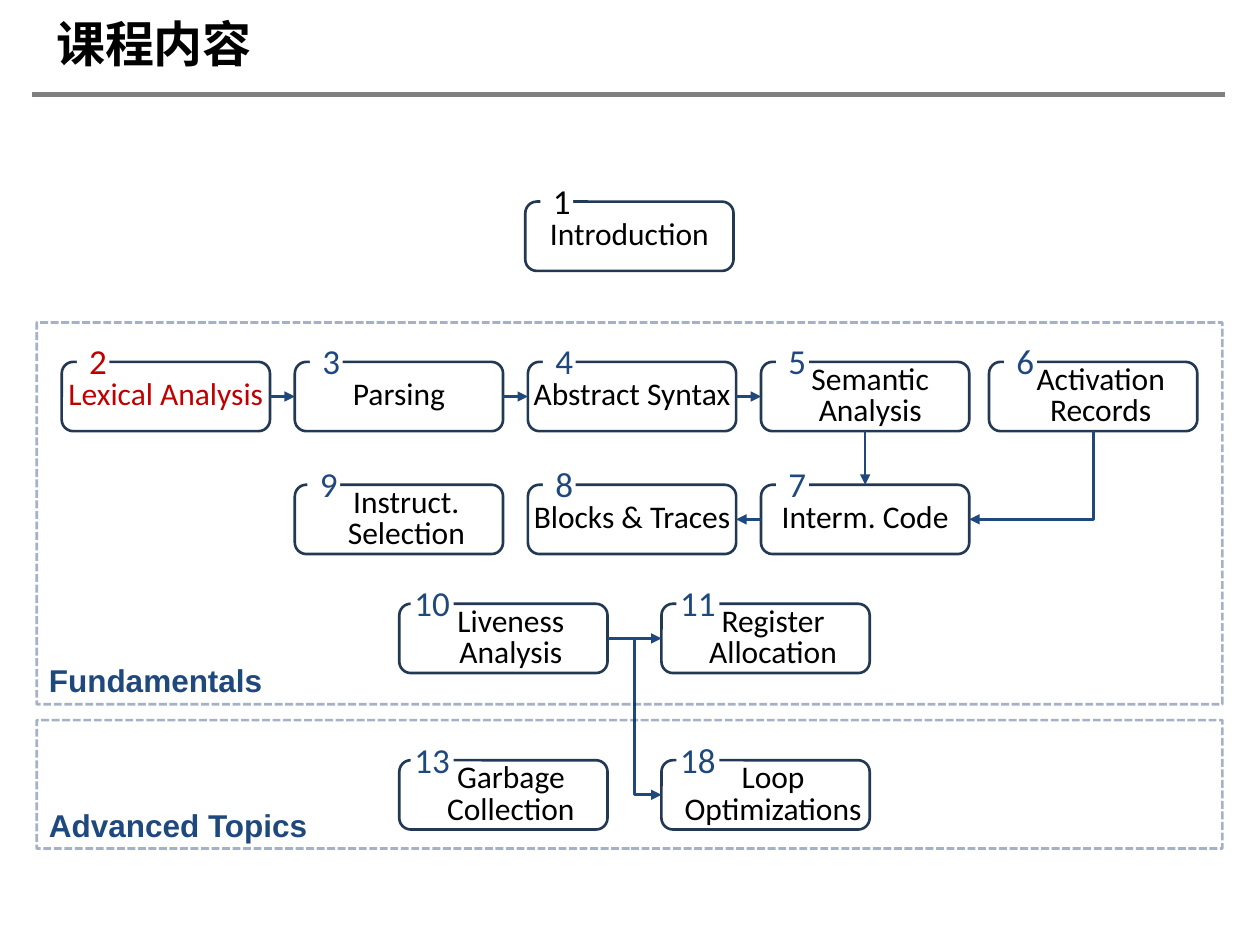
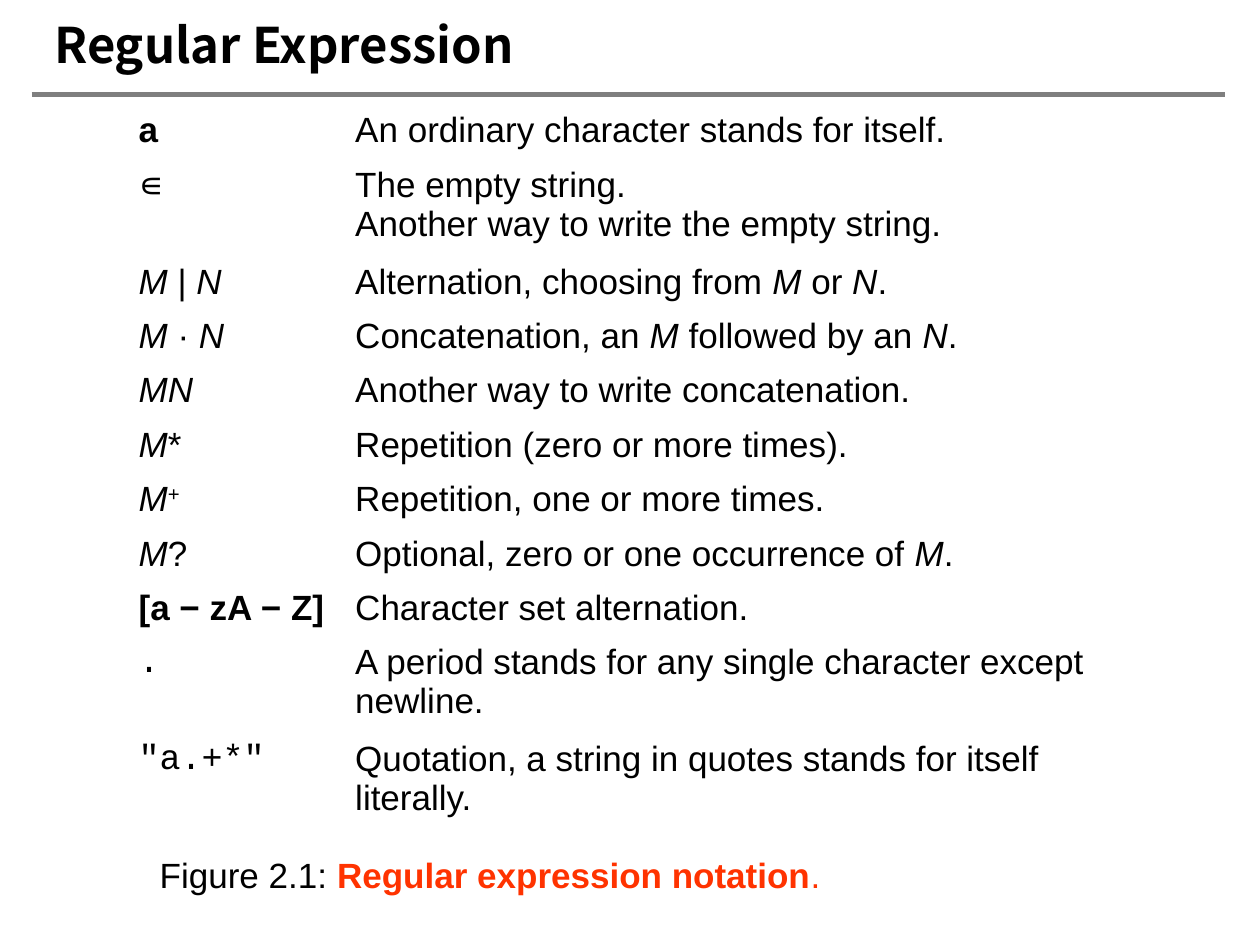
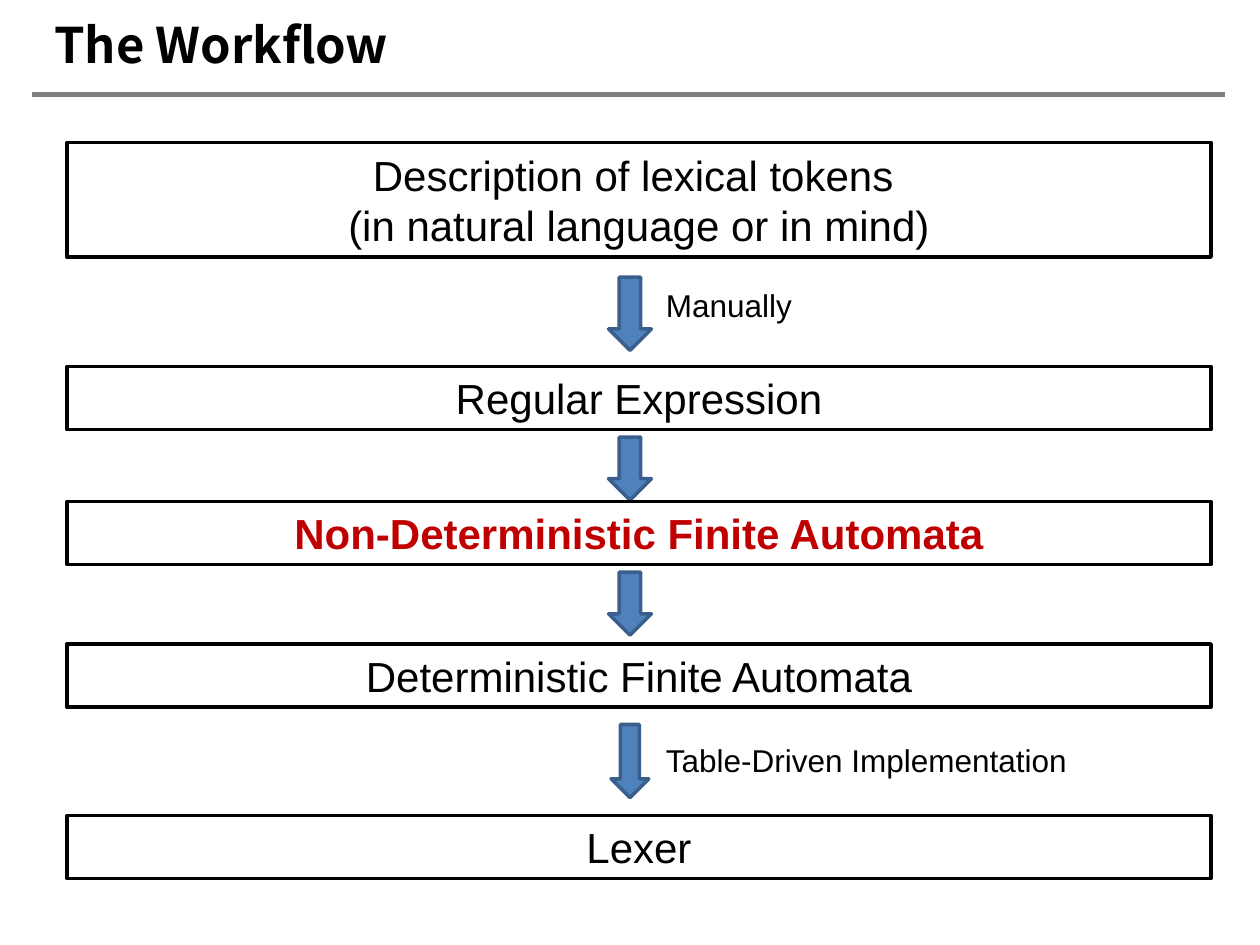
import functools
from typing import NamedTuple

import pptx
import pptx.dml.color
import pptx.enum.dml
import pptx.enum.shapes
import pptx.enum.text
import pptx.oxml
import pptx.oxml.ns
import pptx.util
from lxml import etree

Pt = pptx.util.Pt
qn = pptx.oxml.ns.qn
SHAPE = pptx.enum.shapes.MSO_SHAPE
CONNECTOR = pptx.enum.shapes.MSO_CONNECTOR
ANCHOR = pptx.enum.text.MSO_ANCHOR
ALIGN = pptx.enum.text.PP_ALIGN

BLACK, WHITE, GREY = "000000", "FFFFFF", "7F7F7F"
NAVY, BLUE, RED, ORANGE = "233953", "1F497D", "C00000", "FF3300"
FRAME, ARROW_FILL, ARROW_LINE = "002060", "4F81BD", "3A5F8C"
ARIAL, CALIBRI, COURIER = "Arial", "Calibri", "Courier New"
TITLE_FONT = "Noto Sans CJK SC"

BOX_W, BOX_H = 119, 39.6
COLUMNS = [35.3 + 133.2 * i for i in range(4)]
RECORDS_X, INTRO_X, LEFT_X, RIGHT_X = 565.2, 300.2, 228.2, 378
ROWS = [115.2, 206.8, 277, 345, 434.4]
MIDS = [y + BOX_H / 2 for y in ROWS]


class Chapter(NamedTuple):
    number: int
    name: str
    x: float
    row: int
    indent: float = 0
    tag_dx: float = 8.6
    color: str = BLACK
    tag_color: str = BLUE


class Frame(NamedTuple):
    label: str
    y: float
    h: float
    label_y: float


class Notation(NamedTuple):
    form: str
    meaning: str
    bold: bool = False
    font: str = ARIAL
    raised: str = ""
    height: float = 31.1


class Stage(NamedTuple):
    text: str
    y: float
    h: float = 36
    color: str = BLACK
    bold: bool = False


class Step(NamedTuple):
    y: float
    w: float
    h: float
    label: str = ""
    label_y: float = 0
    label_w: float = 0


CHAPTERS = [
    Chapter(1, "Introduction", INTRO_X, 0, tag_color=BLACK),
    Chapter(2, "Lexical Analysis", COLUMNS[0], 1, color=RED, tag_color=RED),
    Chapter(3, "Parsing", COLUMNS[1], 1),
    Chapter(4, "Abstract Syntax", COLUMNS[2], 1),
    Chapter(5, "Semantic Analysis", COLUMNS[3], 1, indent=5.8),
    Chapter(6, "Activation Records", RECORDS_X, 1, indent=8.6),
    Chapter(7, "Interm. Code", COLUMNS[3], 2),
    Chapter(8, "Blocks & Traces", COLUMNS[2], 2),
    Chapter(9, "Instruct. Selection", COLUMNS[1], 2, indent=8.6, tag_dx=7.2),
    Chapter(10, "Liveness Analysis", LEFT_X, 3, indent=8.6, tag_dx=6.5),
    Chapter(11, "Register Allocation", RIGHT_X, 3, indent=8.6),
    Chapter(13, "Garbage Collection", LEFT_X, 4, indent=8.6, tag_dx=6.5),
    Chapter(18, "Loop Optimizations", RIGHT_X, 4, indent=8.6),
]

FRAMES = [
    Frame("Fundamentals", 184.3, 218.2, 374.4),
    Frame("Advanced Topics", 411.5, 73.4, 457.2),
]

NOTATIONS = [
    Notation("a", "An ordinary character stands for itself.", bold=True),
    Notation("∊", "The empty string.\nAnother way to write the empty string.", height=55.4),
    Notation("_M_ | _N_", "Alternation, choosing from _M_ or _N_."),
    Notation("_M_ · _N_", "Concatenation, an _M_ followed by an _N_."),
    Notation("_MN_", "Another way to write concatenation."),
    Notation("_M_*", "Repetition (zero or more times)."),
    Notation("_M_", "Repetition, one or more times.", raised="+"),
    Notation("_M_?", "Optional, zero or one occurrence of _M_."),
    Notation("[a − zA − Z]", "Character set alternation.", bold=True),
    Notation(".", "A period stands for any single character except newline.",
             font=COURIER, height=55.4),
    Notation('"a.+*"', "Quotation, a string in quotes stands for itself literally.",
             font=COURIER, height=55.4),
]

STAGES = [
    Stage("Description of lexical tokens \n(in natural language or in mind)", 81.4, 65.5),
    Stage("Regular Expression", 209.5),
    Stage("Non-Deterministic Finite Automata", 286.6, color=RED, bold=True),
    Stage("Deterministic Finite Automata", 368),
    Stage("Lexer", 466),
]

STEPS = [
    Step(158.4, 24.5, 41.8, "Manually", 160, 100.8),
    Step(249.8, 24.5, 36),
    Step(327, 24.5, 36),
    Step(414, 21.6, 41.8, "Table-Driven Implementation", 420, 275.8),
]


@functools.lru_cache(maxsize=None)
def rgb(color: str) -> pptx.dml.color.RGBColor:
    return pptx.dml.color.RGBColor.from_string(color)


def add_text(p, text: str, *, size: float = 18, font: str = ARIAL, color: str = BLACK,
             bold: bool = False, italic: bool = False, baseline: int = 0,
             spacing: int = 0, east_asian: bool = False) -> None:
    for i, line in enumerate(text.split("\n")):
        if i:
            p.add_line_break()
        r = p.add_run()
        r.text = line
        r.font.size = Pt(size)
        r.font.name = font
        r.font.bold = bold
        r.font.italic = italic
        r.font.color.rgb = rgb(color)
        rpr = r.font._element
        if baseline:
            rpr.set("baseline", str(baseline * 1000))
        if spacing:
            rpr.set("spc", str(spacing))
        if east_asian:
            rpr.find(qn("a:latin")).addnext(etree.Element(qn("a:ea"), typeface=font))


def add_marked_text(p, text: str, **fmt) -> None:
    for i, piece in enumerate(text.split("_")):
        if piece:
            add_text(p, piece, italic=i % 2 == 1, **fmt)


def set_margins(tf, left: float, top: float, right: float, bottom: float) -> None:
    tf.margin_left, tf.margin_top = Pt(left), Pt(top)
    tf.margin_right, tf.margin_bottom = Pt(right), Pt(bottom)


def add_box(s, kind, x: float, y: float, w: float, h: float,
            fill: str = "", line: str = "", line_w: float = 1.5):
    sp = s.shapes.add_shape(kind, Pt(x), Pt(y), Pt(w), Pt(h))
    sp.shadow.inherit = False
    if fill:
        sp.fill.solid()
        sp.fill.fore_color.rgb = rgb(fill)
    else:
        sp.fill.background()
    if line:
        sp.line.color.rgb = rgb(line)
        sp.line.width = Pt(line_w)
    else:
        sp.line.fill.background()
    sp.text_frame.word_wrap = True
    return sp


def add_label(s, x: float, y: float, w: float, h: float, wrap: bool = True):
    tf = s.shapes.add_textbox(Pt(x), Pt(y), Pt(w), Pt(h)).text_frame
    tf.word_wrap = wrap
    return tf


def add_line(s, x1: float, y1: float, x2: float, y2: float, color: str = BLUE,
             width: float = 1.5, arrow: bool = True, kind=CONNECTOR.STRAIGHT):
    c = s.shapes.add_connector(kind, Pt(x1), Pt(y1), Pt(x2), Pt(y2))
    c.line.color.rgb = rgb(color)
    c.line.width = Pt(width)
    sp_pr = c._element.spPr
    if arrow:
        etree.SubElement(sp_pr.find(qn("a:ln")), qn("a:tailEnd"), type="triangle")
    etree.SubElement(sp_pr, qn("a:effectLst"))
    return c


def add_down_elbow(s, x1: float, y1: float, x2: float, y2: float) -> None:
    mid_x, mid_y = (x1 + x2) / 2, (y1 + y2) / 2
    half_w, half_h = (y2 - y1) / 2, abs(x2 - x1) / 2
    side = 1 if x2 < x1 else -1
    c = add_line(s, mid_x - side * half_w, mid_y - half_h,
                 mid_x + side * half_w, mid_y + half_h, kind=CONNECTOR.ELBOW)
    sp_pr = c._element.spPr
    sp_pr.find(qn("a:prstGeom")).set("prst", "bentConnector2")
    sp_pr.find(qn("a:xfrm")).set("rot", str(side * 90 % 360 * 60000))


def add_titled_slide(prs, title: str, x: float = 31, y: float = 12.2,
                     w: float = 286.6, h: float = 34, spacing: int = 0):
    s = prs.slides.add_slide(prs.slide_layouts[5])
    add_line(s, 18, 54, 700, 54, color=GREY, width=3, arrow=False)
    sp = s.shapes.title
    sp.left, sp.top, sp.width, sp.height = Pt(x), Pt(y), Pt(w), Pt(h)
    tf = sp.text_frame
    set_margins(tf, 0, 0, 0, 0)
    tf.vertical_anchor = ANCHOR.TOP
    p = tf.paragraphs[0]
    p.alignment = ALIGN.LEFT
    p.line_spacing = 0.9
    add_text(p, title, size=28, font=TITLE_FONT, bold=True,
             spacing=spacing, east_asian=True)
    return s


def draw_chapter(s, chapter: Chapter) -> None:
    y = ROWS[chapter.row]
    tf = add_box(s, SHAPE.ROUNDED_RECTANGLE, chapter.x, y, BOX_W, BOX_H, line=NAVY).text_frame
    set_margins(tf, chapter.indent, 0, 0, 0)
    p = tf.paragraphs[0]
    p.alignment = ALIGN.CENTER
    p.line_spacing = Pt(18)
    add_text(p, chapter.name, font=CALIBRI, color=chapter.color)

    wide = chapter.number > 9
    tf = add_box(s, SHAPE.RECTANGLE, chapter.x + chapter.tag_dx, y - 11.7,
                 24.5 if wide else 18.7, 22.3, fill=WHITE).text_frame
    side = 0 if wide else 7.2
    set_margins(tf, side, 3.6, side, 3.6)
    p = tf.paragraphs[0]
    p.alignment = ALIGN.CENTER
    add_text(p, str(chapter.number), size=20, font=CALIBRI, color=chapter.tag_color)


def draw_frame(s, frame: Frame) -> None:
    sp = add_box(s, SHAPE.RECTANGLE, 21, frame.y, 677.5, frame.h, line=FRAME)
    sp.line.dash_style = pptx.enum.dml.MSO_LINE.SQUARE_DOT
    color = sp._element.spPr.find(qn("a:ln")).find(".//" + qn("a:srgbClr"))
    etree.SubElement(color, qn("a:alpha"), val="35000")
    tf = add_label(s, 20.9, frame.label_y, 360, 29)
    add_text(tf.paragraphs[0], frame.label, color=BLUE, bold=True)


def build_contents(prs) -> None:
    s = add_titled_slide(prs, "课程内容", x=32.4, y=11.5, w=114, h=35, spacing=-20)
    for chapter in CHAPTERS:
        draw_chapter(s, chapter)
    for left, right in zip(COLUMNS, COLUMNS[1:]):
        add_line(s, left + BOX_W, MIDS[1], right, MIDS[1])
    code_x = COLUMNS[3] + BOX_W / 2
    add_line(s, code_x, ROWS[1] + BOX_H, code_x, ROWS[2])
    add_line(s, COLUMNS[3], MIDS[2], COLUMNS[2] + BOX_W, MIDS[2])
    add_line(s, LEFT_X + BOX_W, MIDS[3], RIGHT_X, MIDS[3])
    add_down_elbow(s, RECORDS_X + BOX_W / 2, ROWS[1] + BOX_H, COLUMNS[3] + BOX_W, MIDS[2])
    add_down_elbow(s, (LEFT_X + BOX_W + RIGHT_X) / 2, MIDS[3], RIGHT_X, MIDS[4])
    for frame in FRAMES:
        draw_frame(s, frame)


def build_notation(prs) -> None:
    s = add_titled_slide(prs, "Regular Expression")
    total = sum(n.height for n in NOTATIONS)
    table = s.shapes.add_table(len(NOTATIONS), 2, Pt(72), Pt(59.8), Pt(588.2), Pt(total)).table
    table.first_row = table.horz_banding = False
    for column, width in zip(table.columns, (123.8, 464.4)):
        column.width = Pt(width)
    for row, n in zip(table.rows, NOTATIONS):
        row.height = Pt(n.height)
        for cell in row.cells:
            cell.fill.background()
        form, meaning = (cell.text_frame.paragraphs[0] for cell in row.cells)
        add_marked_text(form, n.form, size=20, font=n.font, bold=n.bold)
        if n.raised:
            add_text(form, n.raised, size=20, baseline=30)
        add_marked_text(meaning, n.meaning, size=20)

    tf = add_label(s, 84.2, 473, 396, 42.5, wrap=False)
    tf.vertical_anchor = ANCHOR.BOTTOM
    p = tf.paragraphs[0]
    add_text(p, "Figure 2.1: ", size=20)
    add_text(p, "Regular expression notation", size=20, color=ORANGE, bold=True)
    add_text(p, ".", size=20, color=ORANGE)


def build_workflow(prs) -> None:
    s = add_titled_slide(prs, "The Workflow")
    for step in STEPS:
        add_box(s, SHAPE.DOWN_ARROW, 360 - step.w / 2, step.y, step.w, step.h,
                fill=ARROW_FILL, line=ARROW_LINE, line_w=2)
        if step.label:
            tf = add_label(s, 373.5, step.label_y, step.label_w, 29)
            add_text(tf.paragraphs[0], step.label)
    for stage in STAGES:
        tf = add_box(s, SHAPE.RECTANGLE, 38.2, stage.y, 653.8, stage.h,
                     line=BLACK, line_w=2).text_frame
        for i, line in enumerate(stage.text.split("\n")):
            p = tf.add_paragraph() if i else tf.paragraphs[0]
            p.alignment = ALIGN.CENTER
            add_text(p, line, size=24, color=stage.color, bold=stage.bold)


def main() -> None:
    prs = pptx.Presentation()
    prs.slide_width, prs.slide_height = Pt(720), Pt(540)
    build_contents(prs)
    build_notation(prs)
    build_workflow(prs)
    prs.save("out.pptx")


if __name__ == "__main__":
    main()
